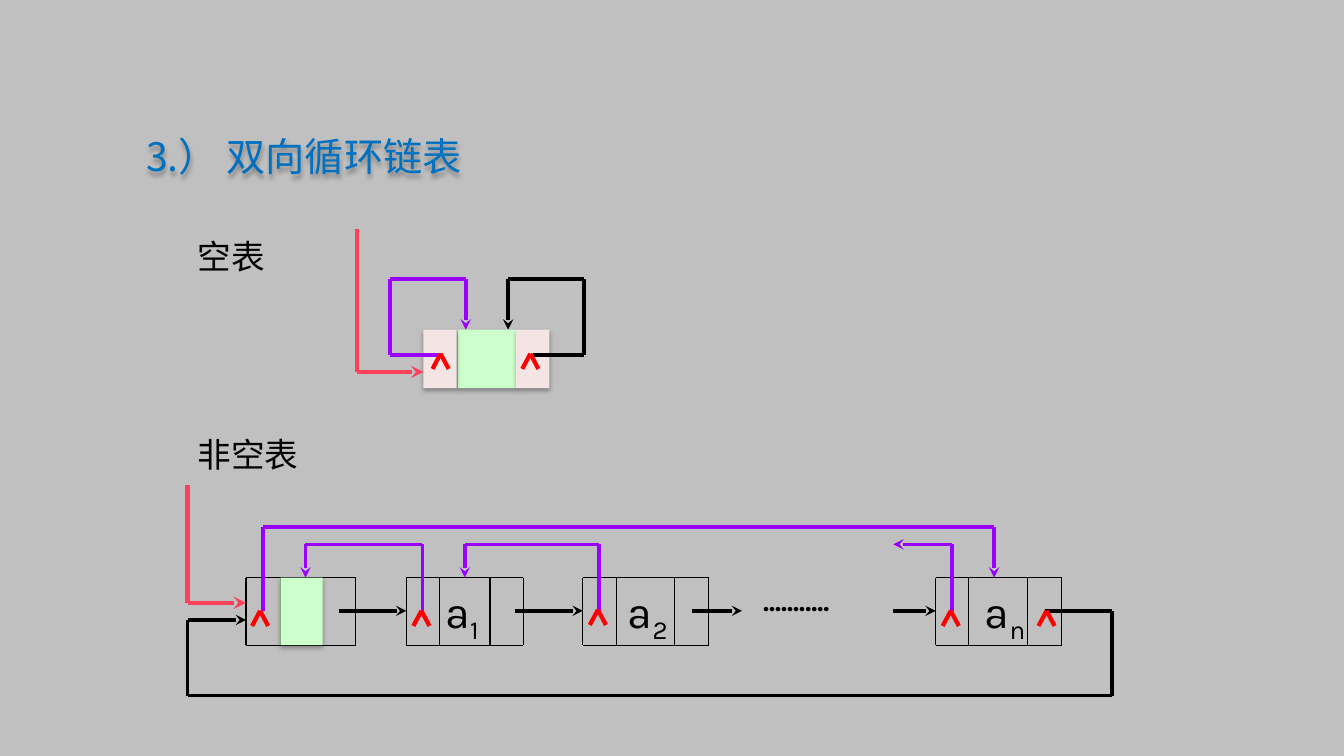
from dataclasses import dataclass

from lxml.etree import SubElement
from pptx import Presentation
from pptx.dml.color import RGBColor
from pptx.enum.shapes import MSO_CONNECTOR as Connector, MSO_SHAPE as Shape
from pptx.enum.text import MSO_AUTO_SIZE as AutoSize
from pptx.oxml.ns import qn
from pptx.util import Inches, Pt

BACKGROUND = RGBColor(0xC0, 0xC0, 0xC0)
INK = RGBColor(0x01, 0x00, 0x00)
VIOLET = RGBColor(0x99, 0x00, 0xFF)
CORAL = RGBColor(0xFB, 0x41, 0x5C)
RED = RGBColor(0xFF, 0x00, 0x00)
GREEN = RGBColor(0xCC, 0xFF, 0xCC)
PINK = RGBColor(0xF4, 0xE4, 0xE4)
BLUE = RGBColor(0x00, 0x70, 0xC0)

CHINESE = "Noto Sans CJK SC"
LATIN = "Karla"

NODE_TOP, NODE_BOTTOM = 5.73, 6.4
LINK_Y, BACK_Y, WRAP_Y = 6.06, 5.4, 5.23
CARET_HALF_WIDTH, CARET_HEIGHT = 0.08, 0.15

Point = tuple[float, float]


@dataclass
class Node:
    walls: tuple[float, float, float, float]


@dataclass
class Cell:
    left: float
    top: float
    width: float
    height: float
    fill: RGBColor


@dataclass
class Route:
    points: list[Point]
    color: RGBColor = INK
    weight: float = 2.5
    arrow: bool = True


@dataclass
class Label:
    left: float
    top: float
    width: float
    height: float
    text: str
    size: int
    font: str = CHINESE
    color: RGBColor = INK
    subscript: str = ""
    bold: bool = False
    wrap: bool = True


NODES = [
    Node((2.44, 2.78, 3.19, 3.53)),
    Node((4.03, 4.36, 4.86, 5.19)),
    Node((5.78, 6.11, 6.69, 7.03)),
    Node((9.28, 9.61, 10.19, 10.53)),
]

CELLS = [
    Cell(4.54, 3.27, 0.58, 0.58, GREEN),
    Cell(5.12, 3.27, 0.33, 0.58, PINK),
    Cell(4.2, 3.27, 0.33, 0.58, PINK),
    Cell(2.78, NODE_TOP, 0.42, NODE_BOTTOM - NODE_TOP, GREEN),
]

FORWARD_LINKS = [(3.36, 4.03), (5.11, 5.78), (6.86, 7.36), (8.86, 9.28)]
BACK_LINKS = [(5.94, 4.61), (4.19, 3.03)]

ROUTES = [
    *(Route([(start, LINK_Y), (end, LINK_Y)]) for start, end in FORWARD_LINKS),
    *(Route([(start, LINK_Y), (start, BACK_Y), (end, BACK_Y), (end, NODE_TOP)], VIOLET)
      for start, end in BACK_LINKS),
    Route([(9.44, LINK_Y), (9.44, BACK_Y), (8.86, BACK_Y)], VIOLET),
    Route([(2.61, LINK_Y), (2.61, WRAP_Y), (9.86, WRAP_Y), (9.86, NODE_TOP)], VIOLET),
    Route([(10.36, LINK_Y), (11.03, LINK_Y), (11.03, 6.9), (1.86, 6.9),
           (1.86, 6.15), (2.44, 6.15)]),
    Route([(1.86, 4.81), (1.86, 5.98), (2.44, 5.98)], CORAL, 3),
    Route([(5.29, 3.52), (5.79, 3.52), (5.79, 2.77), (5.04, 2.77), (5.04, 3.27)]),
    Route([(4.37, 3.52), (3.87, 3.52), (3.87, 2.77), (4.62, 2.77), (4.62, 3.27)], VIOLET),
    Route([(3.54, 2.27), (3.54, 3.69), (4.2, 3.69)], CORAL, 3),
]

CARET_TIPS = [(5.26, 3.51), (4.37, 3.51), (2.58, LINK_Y), (4.18, LINK_Y),
              (5.93, 6.05), (9.43, LINK_Y), (10.38, LINK_Y)]

ITEMS = [(4.32, "1"), (6.13, "2"), (9.67, "n")]

LABELS = [
    Label(1.86, 2.29, 0.88, 0.5, "空表", 24, wrap=False),
    Label(1.86, 4.26, 1.21, 0.5, "非空表", 24, wrap=False),
    *(Label(left, 5.74, 0.63, 0.63, "a", 32, LATIN, subscript=index)
      for left, index in ITEMS),
    Label(7.47, 5.74, 1.18, 0.43, "...........", 20, LATIN, bold=True),
]

TITLE = Label(1.35, 1.32, 4.91, 0.78, "3.） 双向循环链表", 28, color=BLUE)


def add_soft_shadow(shape) -> None:
    effects = SubElement(shape._element.spPr, qn("a:effectLst"))
    shadow = SubElement(effects, qn("a:outerShdw"), blurRad=str(Pt(3.5)),
                        dist=str(Pt(2.2)), dir="5400000", rotWithShape="0")
    color = SubElement(shadow, qn("a:srgbClr"), val="000000")
    SubElement(color, qn("a:alpha"), val="32000")


def draw_route(shapes, route: Route) -> None:
    """Draw straight segments through the points, the last with an arrowhead."""
    for start, end in zip(route.points, route.points[1:]):
        segment = shapes.add_connector(
            Connector.STRAIGHT, *(Inches(value) for value in (*start, *end)))
        segment.line.color.rgb = route.color
        segment.line.width = Pt(route.weight)
        if route.arrow and end == route.points[-1]:
            SubElement(segment.line._get_or_add_ln(), qn("a:tailEnd"), type="stealth")
        SubElement(segment._element.spPr, qn("a:effectLst"))


def draw_node(shapes, node: Node) -> None:
    for y in (NODE_TOP, NODE_BOTTOM):
        draw_route(shapes, Route([(node.walls[0], y), (node.walls[-1], y)], INK, 0.75, False))
    for x in node.walls:
        draw_route(shapes, Route([(x, NODE_TOP), (x, NODE_BOTTOM)], INK, 0.75, False))


def draw_cell(shapes, cell: Cell) -> None:
    box = shapes.add_shape(Shape.RECTANGLE, Inches(cell.left), Inches(cell.top),
                           Inches(cell.width), Inches(cell.height))
    box.fill.solid()
    box.fill.fore_color.rgb = cell.fill
    box.line.fill.background()
    add_soft_shadow(box)


def draw_caret(shapes, tip: Point) -> None:
    x, y = tip
    for side in (-CARET_HALF_WIDTH, CARET_HALF_WIDTH):
        draw_route(shapes, Route([tip, (x + side, y + CARET_HEIGHT)], RED, 3, False))


def draw_label(shapes, label: Label):
    box = shapes.add_textbox(Inches(label.left), Inches(label.top),
                             Inches(label.width), Inches(label.height))
    frame = box.text_frame
    frame.word_wrap = label.wrap
    frame.auto_size = AutoSize.NONE
    paragraph = frame.paragraphs[0]
    paragraph.add_run().text = label.text
    if label.subscript:
        index = paragraph.add_run()
        index.text = label.subscript
        index._r.get_or_add_rPr().set("baseline", "-25000")
    font = paragraph.font
    font.size = Pt(label.size)
    font.bold = label.bold
    font.color.rgb = label.color
    font.name = label.font
    SubElement(font._element, qn("a:ea"), typeface=label.font)
    return box


def main() -> None:
    deck = Presentation()
    deck.slide_width, deck.slide_height = Inches(13.33), Inches(7.5)
    slide = deck.slides.add_slide(deck.slide_layouts[6])
    slide.background.fill.solid()
    slide.background.fill.fore_color.rgb = BACKGROUND
    shapes = slide.shapes

    for node in NODES:
        draw_node(shapes, node)
    for cell in CELLS:
        draw_cell(shapes, cell)
    for route in ROUTES:
        draw_route(shapes, route)
    for tip in CARET_TIPS:
        draw_caret(shapes, tip)
    for label in LABELS:
        draw_label(shapes, label)
    title = draw_label(shapes, TITLE)
    title.text_frame.paragraphs[0].line_spacing = 0.9
    add_soft_shadow(title)

    deck.save("out.pptx")


if __name__ == "__main__":
    main()
